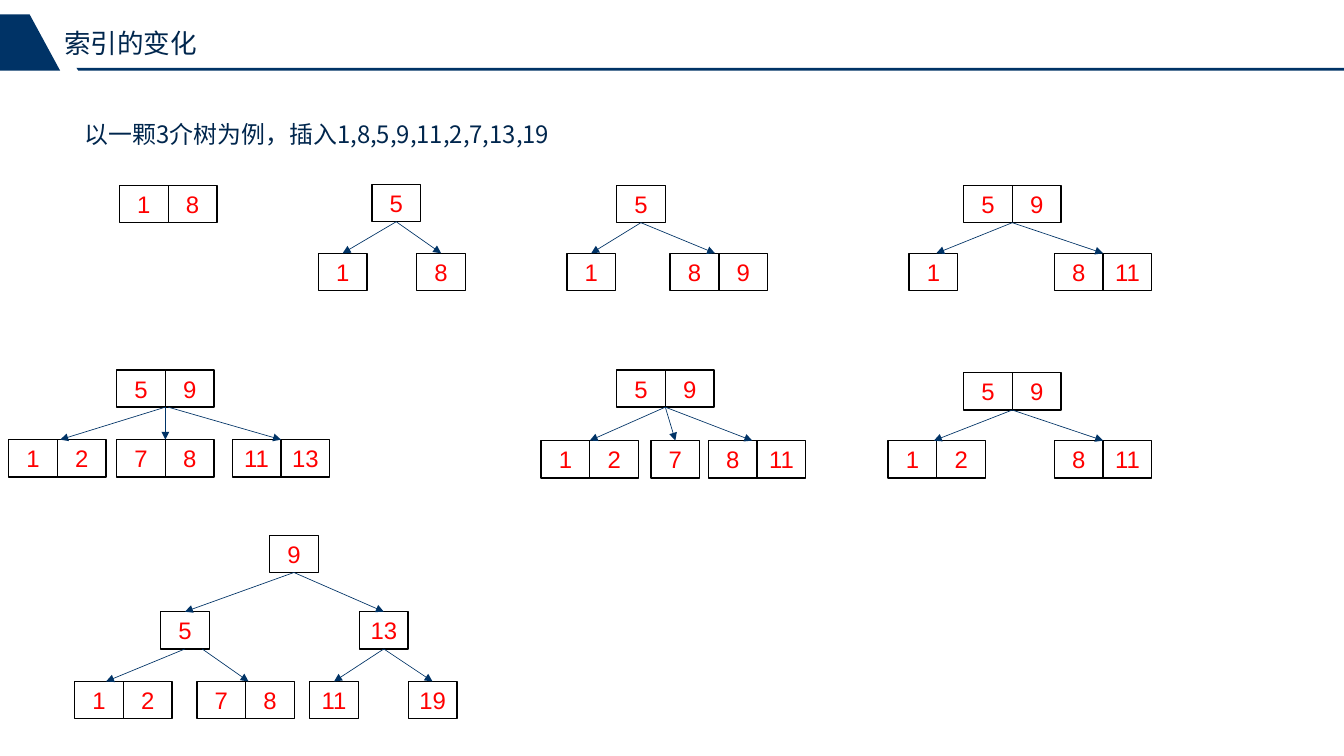
from dataclasses import dataclass

from pptx import Presentation
from pptx.dml.color import RGBColor
from pptx.enum.shapes import MSO_CONNECTOR as Connector
from pptx.enum.shapes import MSO_SHAPE as Shape
from pptx.enum.text import MSO_ANCHOR as Anchor
from pptx.enum.text import PP_ALIGN as Align
from pptx.oxml.ns import qn
from pptx.util import Inches, Pt
from lxml.etree import SubElement

COLORS = {"navy": "003366", "text": "00264D", "key": "FF0000",
          "cell": "FFFFFF", "border": "000000"}
CELL_WIDTH, CELL_HEIGHT = 0.51, 0.39
BOTTOM, TOP = 2, 0


@dataclass
class Node:
    """A B-tree node; the shifts move its incoming arrow off the centres."""
    left: float
    top: float
    keys: tuple
    children: tuple = ()
    start_shift: float = 0
    end_shift: float = 0

    @property
    def center(self):
        return self.left + len(self.keys) * CELL_WIDTH / 2


TREES = [
    Node(1.25, 1.94, (1, 8)),
    Node(3.89, 1.93, (5,), (Node(3.33, 2.65, (1,)), Node(4.36, 2.65, (8,)))),
    Node(6.45, 1.94, (5,), (Node(5.93, 2.65, (1,)),
                            Node(7.01, 2.65, (8, 9), end_shift=-0.04))),
    Node(10.08, 1.94, (5, 9), (Node(9.51, 2.65, (1,), end_shift=0.03),
                               Node(11.03, 2.65, (8, 11)))),
    Node(1.22, 3.87, (5, 9), (Node(0.09, 4.6, (1, 2), end_shift=0.03),
                              Node(1.22, 4.6, (7, 8)),
                              Node(2.43, 4.6, (11, 13), start_shift=0.03))),
    Node(6.45, 3.87, (5, 9), (Node(5.66, 4.61, (1, 2)),
                              Node(6.81, 4.61, (7,)),
                              Node(7.41, 4.61, (8, 11), end_shift=-0.05))),
    Node(10.08, 3.9, (5, 9), (Node(9.29, 4.61, (1, 2), end_shift=-0.03),
                              Node(11.03, 4.61, (8, 11)))),
    Node(2.82, 5.6, (9,), (
        Node(1.68, 6.4, (5,), (
            Node(0.78, 7.13, (1, 2), end_shift=-0.18),
            Node(2.06, 7.13, (7, 8), start_shift=0.18, end_shift=0.03))),
        Node(3.76, 6.4, (13,), (Node(3.24, 7.13, (11,)),
                                Node(4.27, 7.13, (19,)))))),
]


def color(name):
    return RGBColor.from_string(COLORS[name])


def style_text(paragraph, size, color_name, font_name="Arial"):
    font = paragraph.font
    font.name, font.size = font_name, Pt(size)
    font.color.rgb = color(color_name)


def add_band(slide, points):
    """Draw a filled navy polygon through points given in inches."""
    corners = [(Inches(x), Inches(y)) for x, y in points]
    builder = slide.shapes.build_freeform(*corners[0])
    builder.add_line_segments(corners[1:], close=True)
    band = builder.convert_to_shape()
    band.shadow.inherit = False
    band.fill.solid()
    band.fill.fore_color.rgb = color("navy")
    band.line.fill.background()


def add_text(slide, text, left, top, width, height, size, font_name):
    box = slide.shapes.add_textbox(Inches(left), Inches(top), Inches(width), Inches(height))
    box.text_frame.word_wrap = True
    paragraph = box.text_frame.paragraphs[0]
    paragraph.text = text
    style_text(paragraph, size, "text", font_name)
    return box.text_frame


def add_cell(slide, key, left, top):
    cell = slide.shapes.add_shape(Shape.RECTANGLE, Inches(left), Inches(top),
                                  Inches(CELL_WIDTH), Inches(CELL_HEIGHT))
    cell.shadow.inherit = False
    cell.fill.solid()
    cell.fill.fore_color.rgb = color("cell")
    rgb = cell.fill._xPr.find(qn("a:solidFill")).find(qn("a:srgbClr"))
    SubElement(rgb, qn("a:alpha"), val="50000")
    cell.line.color.rgb = color("border")
    cell.line.width = Pt(1)
    cell.text_frame.vertical_anchor = Anchor.MIDDLE
    paragraph = cell.text_frame.paragraphs[0]
    paragraph.text = str(key)
    paragraph.alignment = Align.CENTER
    style_text(paragraph, 18, "key")
    return cell


def add_arrow(slide, parent, child, parent_cells, child_cells):
    arrow = slide.shapes.add_connector(
        Connector.STRAIGHT,
        Inches(parent.center + child.start_shift), Inches(parent.top + CELL_HEIGHT),
        Inches(child.center + child.end_shift), Inches(child.top))
    if len(parent_cells) == 1 and not child.start_shift:
        arrow.begin_connect(parent_cells[0], BOTTOM)
    if len(child_cells) == 1 and not child.end_shift:
        arrow.end_connect(child_cells[0], TOP)
    arrow.line.color.rgb = color("navy")
    arrow.line.width = Pt(0.5)
    SubElement(arrow.line._get_or_add_ln(), qn("a:tailEnd"), type="triangle")
    SubElement(arrow._element.spPr, qn("a:effectLst"))


def add_tree(slide, node):
    """Draw a node with everything below it and return the node's cells."""
    cells = [add_cell(slide, key, node.left + index * CELL_WIDTH, node.top)
             for index, key in enumerate(node.keys)]
    for child in node.children:
        child_cells = add_tree(slide, child)
        add_arrow(slide, node, child, cells, child_cells)
    return cells


def add_header(slide):
    add_band(slide, [(0.8, 0.71), (14.06, 0.71), (14.06, 0.74), (0.82, 0.74)])
    add_band(slide, [(0.31, 0.15), (0.63, 0.74), (0, 0.74), (0, 0.15)])
    title = add_text(slide, "索引的变化", 0.67, 0.28, 3.35, 0.34, 20, "Arial")
    title.margin_left = title.margin_right = title.margin_top = title.margin_bottom = 0
    title.paragraphs[0].space_after = Pt(6)


def main():
    presentation = Presentation()
    presentation.slide_width = Inches(14.06)
    presentation.slide_height = Inches(7.91)
    slide = presentation.slides.add_slide(presentation.slide_layouts[6])
    add_header(slide)
    add_text(slide, "以一颗3介树为例，插入1,8,5,9,11,2,7,13,19",
             0.79, 1.2, 8.68, 0.4, 18, "Noto Sans CJK SC")
    for tree in TREES:
        add_tree(slide, tree)
    presentation.save("out.pptx")


if __name__ == "__main__":
    main()
